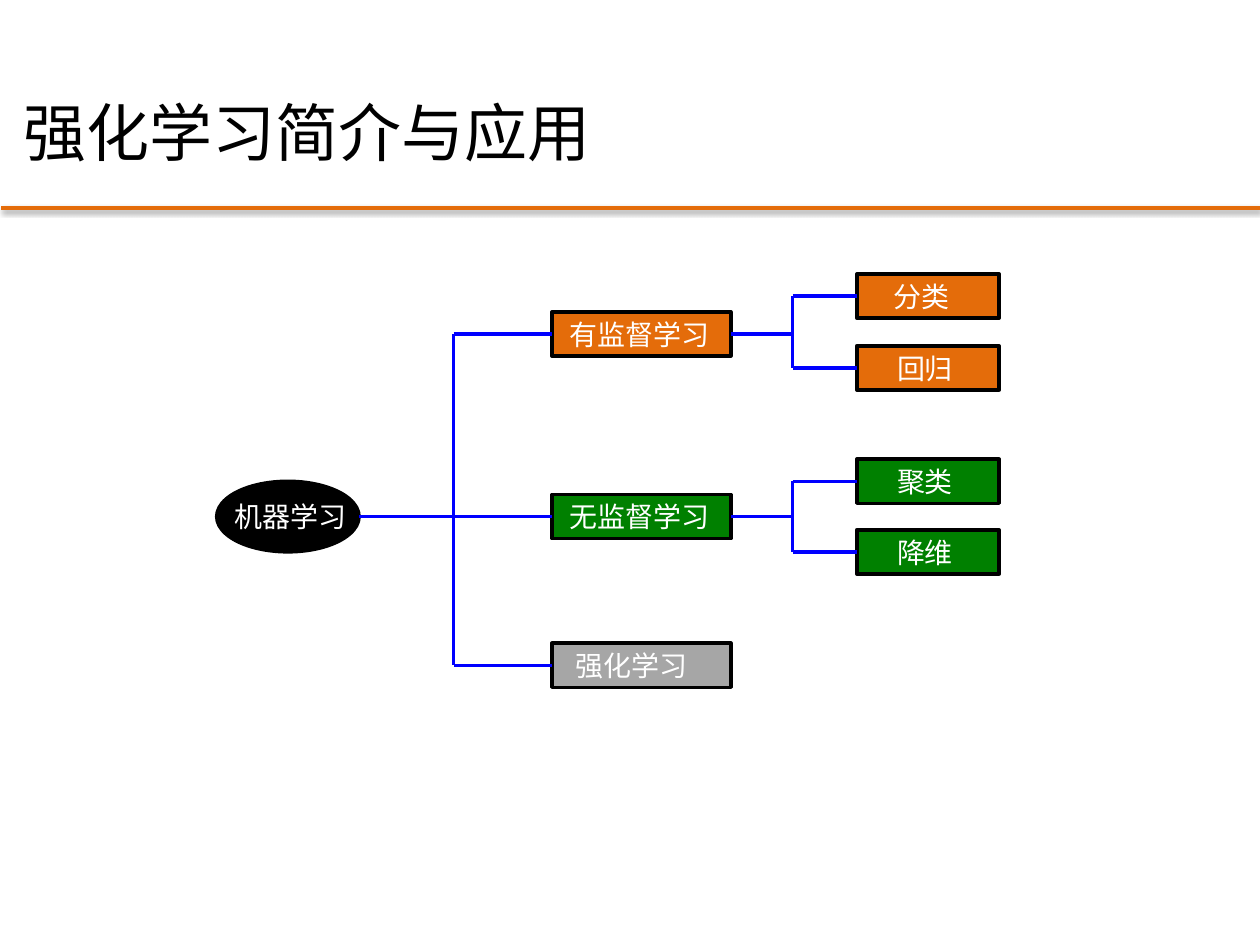
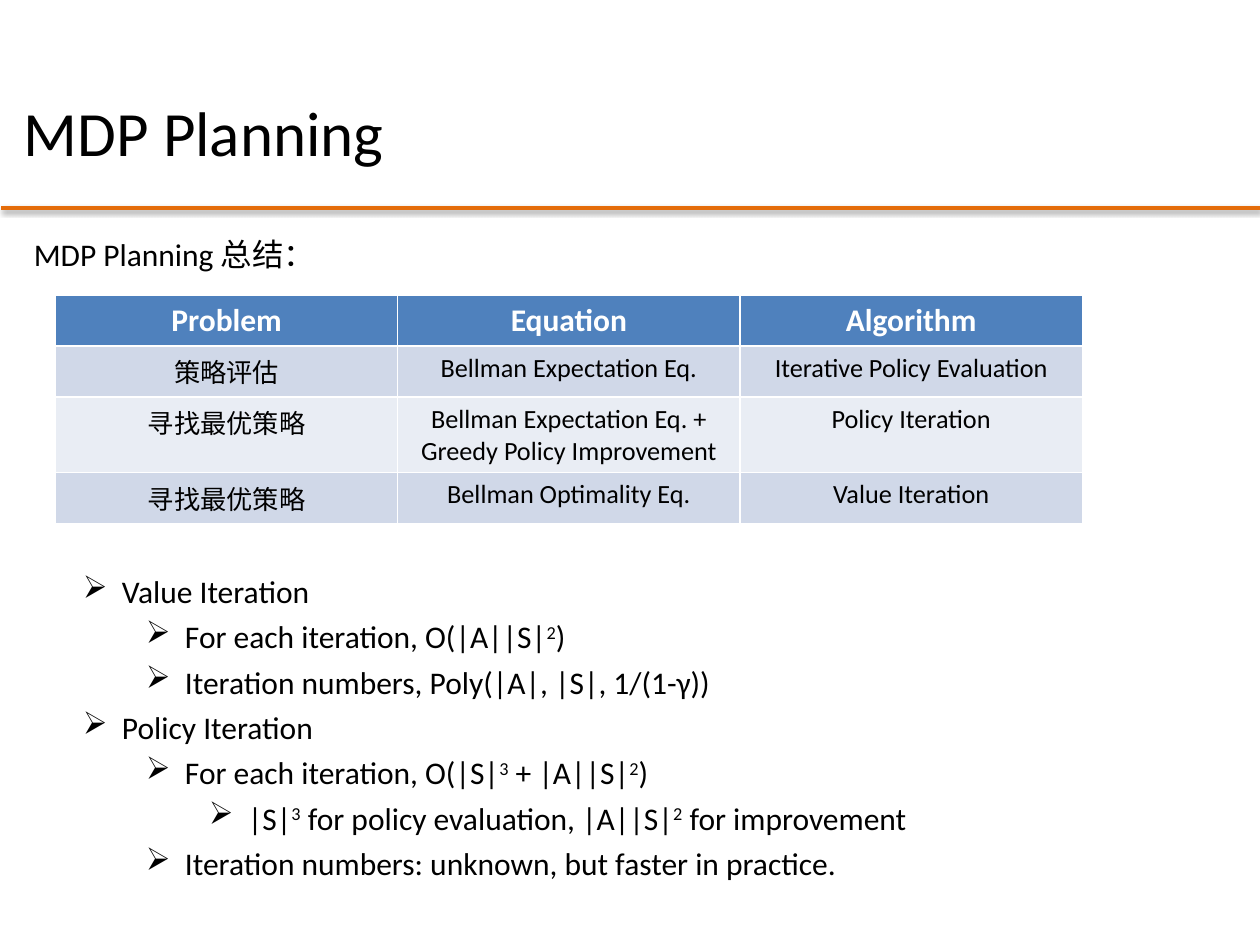
"""Build two lecture slides: a machine learning tree and an MDP planning summary."""
from lxml import etree
from pptx import Presentation, util as u
from pptx.dml.color import RGBColor
from pptx.enum import shapes, text
from pptx.oxml.ns import qn

BLACK = RGBColor(0x00, 0x00, 0x00)
WHITE = RGBColor(0xFF, 0xFF, 0xFF)
ORANGE = RGBColor(0xE4, 0x6C, 0x0A)
GREEN = RGBColor(0x00, 0x80, 0x00)
GREY = RGBColor(0xA6, 0xA6, 0xA6)
BLUE = RGBColor(0x00, 0x00, 0xFF)
HEADER = RGBColor(0x4F, 0x81, 0xBD)
BANDS = (RGBColor(0xD0, 0xD8, 0xE8), RGBColor(0xE9, 0xED, 0xF4))

TITLE = {"name": "Calibri", "size": u.Pt(36), "color": BLACK}
BODY = {**TITLE, "size": u.Pt(18)}
NODE = {**TITLE, "size": u.Pt(16), "color": WHITE}
HEAD = {**BODY, "color": WHITE, "bold": True}
CELL = {**BODY, "size": u.Pt(15), "bold": False}

deck = Presentation()
deck.slide_width, deck.slide_height = u.Inches(10), u.Inches(7.5)
GRID = deck.slide_width // 100


def write(para, words, style, left=0, hang=0):
    """Fill a paragraph; parts between carets are raised."""
    if hang:
        props = para._p.get_or_add_pPr()
        props.set("marL", str(int(left * GRID)))
        props.set("indent", str(int(-hang * GRID)))
    for index, part in enumerate(words.split("^")):
        span = para.add_run()
        span.text = part
        for key, value in style.items():
            if key == "color":
                span.font.color.rgb = value
            else:
                setattr(span.font, key, value)
        if index % 2:
            span._r.get_or_add_rPr().set("baseline", "30000")


def link(page, start, end, color):
    """Draw a straight line between two grid points and return it with its effects."""
    line = page.shapes.add_connector(
        shapes.MSO_CONNECTOR.STRAIGHT, *(int(n * GRID) for n in (*start, *end)))
    line.line.color.rgb = color
    line.line.width = u.Pt(2)
    effects = etree.SubElement(line._element.spPr, qn("a:effectLst"))
    return line, effects


pages = []
for heading in ("强化学习简介与应用", "MDP Planning"):
    page = deck.slides.add_slide(deck.slide_layouts[6])
    pages.append(page)
    box = page.shapes.add_textbox(*(int(n * GRID) for n in (0.9, 0.9, 85, 16.1)))
    box.text_frame.word_wrap = True
    box.text_frame.vertical_anchor = text.MSO_ANCHOR.MIDDLE
    para = box.text_frame.paragraphs[0]
    para.line_spacing = 1.5
    write(para, heading, TITLE, 3.8, 3.8)
    rule, effects = link(page, (0.1, 16.5), (100, 16.5), ORANGE)
    shadow = etree.SubElement(effects, qn("a:outerShdw"), blurRad="40000",
                              dist="20000", dir="5400000", rotWithShape="0")
    shade = etree.SubElement(shadow, qn("a:srgbClr"), val="000000")
    etree.SubElement(shade, qn("a:alpha"), val="38000")
tree, summary = pages

ROOT_X, BRANCH_X, LEAF_X = 17.2, 43.8, 68
ROOT_W, BRANCH_W, LEAF_W = 11.3, 14.2, 11.3
ROOT_H, NODE_H = 5.6, 3.5
TRUNK_X, FORK_X, ROOT_Y = 36, 62.9, 41
BRANCHES = (
    ("有监督学习", ORANGE, 26.5, 1.4, (("分类", 23.5, 2.9), ("回归", 29.2, 3.2))),
    ("无监督学习", GREEN, 41, 1.4, (("聚类", 38.2, 3.2), ("降维", 43.8, 3.2))),
    ("强化学习", GREY, 52.8, 1.9, ()),
)

nodes = [("机器学习", BLACK, ROOT_X, ROOT_Y, ROOT_W, ROOT_H, 0.4)]
for name, color, row, inset, leaves in BRANCHES:
    nodes.append((name, color, BRANCH_X, row, BRANCH_W, NODE_H, inset))
    for leaf, leaf_row, leaf_inset in leaves:
        nodes.append((leaf, color, LEAF_X, leaf_row, LEAF_W, NODE_H, leaf_inset))

drawn = {}
for name, color, left, row, width, height, inset in nodes:
    is_root = left == ROOT_X
    kind = shapes.MSO_SHAPE.OVAL if is_root else shapes.MSO_SHAPE.RECTANGLE
    node = tree.shapes.add_shape(
        kind, *(int(n * GRID) for n in (left, row - height / 2, width, height)))
    node.shadow.inherit = False
    node.fill.solid()
    node.fill.fore_color.rgb = color
    node.line.color.rgb = BLACK
    node.line.width = u.Pt(2)
    frame = {"margin_left": int(inset * GRID), "margin_right": 0, "margin_top": 0,
             "margin_bottom": 0, "word_wrap": not is_root,
             "vertical_anchor": text.MSO_ANCHOR.MIDDLE}
    for key, value in frame.items():
        setattr(node.text_frame, key, value)
    para = node.text_frame.paragraphs[0]
    para.alignment = text.PP_ALIGN.CENTER if is_root else text.PP_ALIGN.LEFT
    write(para, name, NODE)
    drawn[name] = node

link(tree, (ROOT_X + ROOT_W, ROOT_Y), (TRUNK_X, ROOT_Y), BLUE)
link(tree, (TRUNK_X, BRANCHES[0][2]), (TRUNK_X, BRANCHES[-1][2]), BLUE)
for name, color, row, inset, leaves in BRANCHES:
    line, effects = link(tree, (TRUNK_X, row), (BRANCH_X, row), BLUE)
    line.end_connect(drawn[name], 1)
    if leaves:
        line, effects = link(tree, (BRANCH_X + BRANCH_W, row), (FORK_X, row), BLUE)
        line.begin_connect(drawn[name], 3)
        link(tree, (FORK_X, leaves[0][1]), (FORK_X, leaves[-1][1]), BLUE)
    for leaf, leaf_row, leaf_inset in leaves:
        line, effects = link(tree, (FORK_X, leaf_row), (LEAF_X, leaf_row), BLUE)
        line.end_connect(drawn[leaf], 1)

caption = summary.shapes.add_textbox(*(int(n * GRID) for n in (1.7, 18.2, 24.6, 4)))
caption.text_frame.word_wrap = False
write(caption.text_frame.paragraphs[0], "MDP Planning 总结：", BODY)

ROWS = (
    ("Problem", "Equation", "Algorithm"),
    ("策略评估", "Bellman Expectation Eq.", "Iterative Policy Evaluation"),
    ("寻找最优策略", "Bellman Expectation Eq. + Greedy Policy Improvement", "Policy Iteration"),
    ("寻找最优策略", "Bellman Optimality Eq.", "Value Iteration"),
)
table = summary.shapes.add_table(
    len(ROWS), len(ROWS[0]), *(int(n * GRID) for n in (4.4, 23.4, 81.5, 16.2))).table
for row, entries in enumerate(ROWS):
    for column, entry in enumerate(entries):
        cell = table.cell(row, column)
        cell.fill.solid()
        cell.fill.fore_color.rgb = BANDS[(row - 1) % 2] if row else HEADER
        para = cell.text_frame.paragraphs[0]
        para.alignment = text.PP_ALIGN.CENTER
        write(para, entry, CELL if row else HEAD)

POINTS = (
    (0, "Value Iteration"),
    (1, "For each iteration, O(|A||S|^2^)"),
    (1, "Iteration numbers, Poly(|A|, |S|, 1/(1-γ))"),
    (0, "Policy Iteration"),
    (1, "For each iteration, O(|S|^3^ + |A||S|^2^)"),
    (2, "|S|^3^ for policy evaluation, |A||S|^2^ for improvement"),
    (1, "Iteration numbers: unknown, but faster in practice."),
)
box = summary.shapes.add_textbox(*(int(n * GRID) for n in (5.6, 44.3, 68.5, 26.4)))
box.text_frame.word_wrap = True
for index, (level, point) in enumerate(POINTS):
    para = box.text_frame.add_paragraph() if index else box.text_frame.paragraphs[0]
    para.level = level
    para.line_spacing = 1.2
    etree.SubElement(para._p.get_or_add_pPr(), qn("a:buChar"), char="➢")
    write(para, point, BODY, 3.1 + 5 * level, 3.1)

deck.save("out.pptx")
